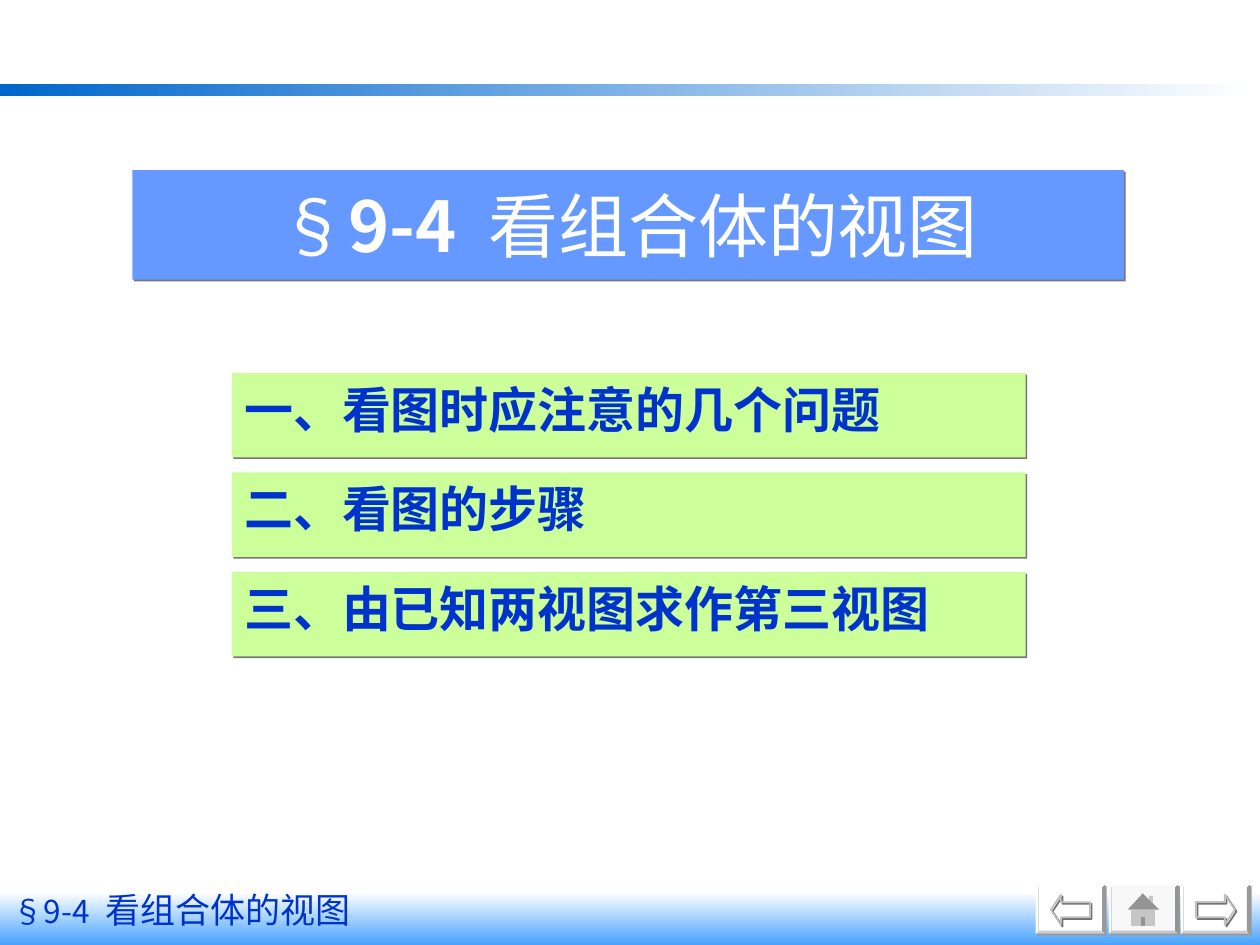
import pptx
import pptx.util
import pptx.dml.color
import pptx.enum.shapes
import pptx.enum.text
import pptx.oxml.ns
import lxml.etree

Inches = pptx.util.Inches
SHAPES = pptx.enum.shapes.MSO_SHAPE

THEME = {
    "font": "Noto Sans CJK SC", "title_font": "Noto Sans CJK JP",
    "white": "FFFFFF", "rule": "0066CC", "footer": "47A3FF",
    "title": "6699FF", "topic": "CCFF99", "text": "0033CC",
    "shadow": "777777", "button": "FFFFFF", "home": "F8F8F8",
    "button_shadow": "989898", "arrow": "C0C0C0", "arrow_shadow": "727272",
    "roof": "949494", "wall": "C6C6C6",
    "title_size": 40, "topic_size": 28, "footer_size": 20, "section_size": 18,
}

SECTION, NUMBER, HEADING = "§", "9-4", "看组合体的视图"
TOPICS = ["一、看图时应注意的几个问题", "二、看图的步骤", "三、由已知两视图求作第三视图"]
TOPIC_TOP, TOPIC_STEP = 2.96, 0.79
BUTTON_TOP, BUTTON_WIDTH, BUTTON_HEIGHT = 7.02, 0.55, 0.39
ARROW_BUTTONS = [(8.22, 180), (9.37, 0)]
HOME_LEFT = 8.8
HOUSE = [
    ("wall", [(8.98, 7.22), (9.17, 7.22), (9.17, 7.35), (8.98, 7.35)]),
    ("wall", [(9.12, 7.11), (9.15, 7.11), (9.15, 7.17), (9.12, 7.14)]),
    ("roof", [(9.07, 7.09), (9.2, 7.22), (8.95, 7.22)]),
    ("roof", [(9.06, 7.28), (9.09, 7.28), (9.09, 7.35), (9.06, 7.35)]),
]


def rgb(name):
    return pptx.dml.color.RGBColor.from_string(THEME[name])


def style(shape, fill=None, shadow=None, line=None):
    shape.shadow.inherit = False
    if fill:
        shape.fill.solid()
        shape.fill.fore_color.rgb = rgb(fill)
    else:
        shape.fill.background()
    if line:
        shape.line.color.rgb = rgb(line)
        shape.line.width = pptx.util.Pt(1)
    else:
        shape.line.fill.background()
    if shadow:
        qn = pptx.oxml.ns.qn
        effects = shape._element.spPr.find(qn("a:effectLst"))
        outer = lxml.etree.SubElement(
            effects, qn("a:outerShdw"), dist="17780", dir="2700000", algn="ctr", rotWithShape="0")
        lxml.etree.SubElement(outer, qn("a:srgbClr"), val=THEME[shadow])


def add_shape(slide, kind, box, **look):
    shape = slide.shapes.add_shape(kind, *map(Inches, box))
    style(shape, **look)
    return shape


def add_gradient(slide, box, colors, angle):
    shape = add_shape(slide, SHAPES.RECTANGLE, box)
    shape.fill.gradient()
    shape.fill.gradient_angle = angle
    for stop, color in zip(shape.fill.gradient_stops, colors):
        stop.color.rgb = rgb(color)


def add_run(paragraph, text, size, color="text", font="font", bold=False, spacing=0):
    run = paragraph.add_run()
    run.text = text
    run.font.size = pptx.util.Pt(THEME[size])
    run.font.bold = bold
    run.font.color.rgb = rgb(color)
    run.font.name = THEME[font]
    properties = run._r.get_or_add_rPr()
    lxml.etree.SubElement(properties, pptx.oxml.ns.qn("a:ea"), typeface=THEME[font])
    if spacing:
        properties.set("spc", str(int(spacing * 100)))


def first_paragraph(shape, anchor, align):
    frame = shape.text_frame
    frame.word_wrap = True
    frame.vertical_anchor = anchor
    paragraph = frame.paragraphs[0]
    paragraph.alignment = align
    return paragraph


def add_button(slide, left, fill):
    box = (left, BUTTON_TOP, BUTTON_WIDTH, BUTTON_HEIGHT)
    button = add_shape(slide, SHAPES.BEVEL, box, fill=fill, shadow="button_shadow")
    button.adjustments[0] = 0.06


def main():
    presentation = pptx.Presentation()
    presentation.slide_width, presentation.slide_height = Inches(10), Inches(7.5)
    slide = presentation.slides.add_slide(presentation.slide_layouts[6])
    anchors, aligns = pptx.enum.text.MSO_ANCHOR, pptx.enum.text.PP_ALIGN

    add_gradient(slide, (0, 0.67, 9.96, 0.09), ("rule", "white"), 0)
    add_gradient(slide, (0, 7.08, 10, 0.42), ("white", "footer"), 270)

    footer = slide.shapes.add_textbox(*map(Inches, (0, 7, 4.67, 0.44)))
    paragraph = first_paragraph(footer, anchors.TOP, aligns.LEFT)
    add_run(paragraph, SECTION + NUMBER, "section_size")
    add_run(paragraph, " ", "footer_size", spacing=4.5)
    add_run(paragraph, HEADING, "footer_size")

    title = add_shape(slide, SHAPES.RECTANGLE, (1.05, 1.35, 7.87, 0.87), fill="title", shadow="shadow")
    paragraph = first_paragraph(title, anchors.MIDDLE, aligns.CENTER)
    for text, bold, spacing in [(SECTION, False, 0), (NUMBER, True, 0), (" ", True, 9), (HEADING, False, 0)]:
        add_run(paragraph, text, "title_size", "white", "title_font", bold, spacing)

    for index, topic in enumerate(TOPICS):
        box = (1.84, TOPIC_TOP + index * TOPIC_STEP, 6.3, 0.67)
        bar = add_shape(slide, SHAPES.RECTANGLE, box, fill="topic", shadow="shadow")
        paragraph = first_paragraph(bar, anchors.TOP, aligns.LEFT)
        paragraph.space_before = pptx.util.Pt(7)
        properties = paragraph._p.get_or_add_pPr()
        properties.set("marL", str(Inches(0.38)))
        properties.set("indent", str(Inches(-0.38)))
        add_run(paragraph, topic, "topic_size", bold=True)

    for left, rotation in ARROW_BUTTONS:
        add_button(slide, left, "button")
        arrow = add_shape(slide, SHAPES.RIGHT_ARROW, (left + 0.12, 7.1, 0.31, 0.24),
                          line="arrow", shadow="arrow_shadow")
        arrow.adjustments[0], arrow.adjustments[1] = 0.5, 0.33
        arrow.rotation = rotation

    add_button(slide, HOME_LEFT, "home")
    for color, points in HOUSE:
        corners = [(Inches(x), Inches(y)) for x, y in points]
        builder = slide.shapes.build_freeform(*corners[0])
        builder.add_line_segments(corners[1:], close=True)
        style(builder.convert_to_shape(), fill=color)

    presentation.save("out.pptx")


if __name__ == "__main__":
    main()
